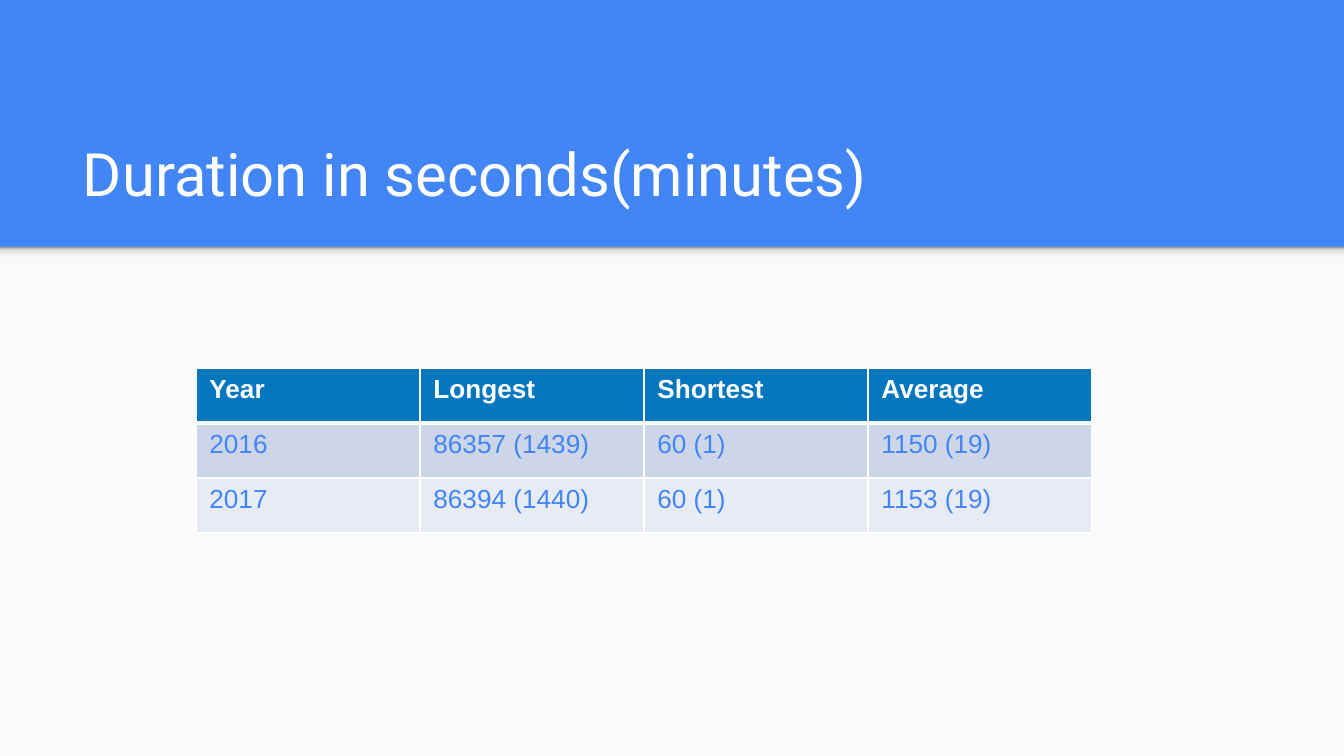
from dataclasses import dataclass

from lxml.etree import SubElement
from pptx import Presentation
from pptx.dml.color import RGBColor
from pptx.enum.shapes import MSO_SHAPE
from pptx.enum.text import MSO_ANCHOR
from pptx.oxml.ns import qn
from pptx.util import Emu, Pt

TITLE = "Duration in seconds(minutes)"
DURATIONS = [
    ("Year", "Longest", "Shortest", "Average"),
    ("2016", "86357 (1439)", "60 (1)", "1150 (19)"),
    ("2017", "86394 (1440)", "60 (1)", "1153 (19)"),
]


@dataclass(frozen=True)
class Theme:
    blue: str = "4285F4"
    page: str = "FAFAFA"
    white: str = "FFFFFF"
    header: str = "0277BD"
    bands: tuple = ("CCD6E8", "E7ECF4")
    shadow: tuple = ((0, "F9F9F9"), (36, "F9F9F9"), (80, "DEDEDE"), (100, "999999"))
    title_font: str = "Roboto"
    table_font: str = "Arial"
    title_size: int = 32
    table_size: int = 14
    rule: int = 1
    header_rule: int = 3


THEME = Theme()
WIDTH, HEIGHT = 1344, 756
BANNER_HEIGHT, SHADOW_HEIGHT = 247, 16
TITLE_BOX = (70, 109, 1208, 113)
TITLE_INSET = 13
TABLE_LEFT, TABLE_TOP = 196, 368
COLUMN_WIDTH, ROW_HEIGHT = 224, 55


def px(length):
    return Emu(round(length * 914400 / 134.4))


def color(code):
    return RGBColor.from_string(code)


def style_font(paragraph, name, size, code, bold=False):
    font = paragraph.font
    font.name, font.size, font.bold = name, Pt(size), bold
    font.color.rgb = color(code)


def add_strip(slide, top, height):
    strip = slide.shapes.add_shape(
        MSO_SHAPE.RECTANGLE, 0, px(top), px(WIDTH), px(height))
    strip.shadow.inherit = False
    strip.line.fill.background()
    return strip


def fill_gradient(shape, stops, angle):
    """Fill with (percent, colour) stops; the angle runs counter-clockwise."""
    shape.fill.gradient()
    shape.fill.gradient_angle = angle
    stop_list = next(shape.element.iter(qn("a:gsLst")))
    for old_stop in list(stop_list):
        stop_list.remove(old_stop)
    for percent, code in stops:
        stop = SubElement(stop_list, qn("a:gs"), pos=str(percent * 1000))
        SubElement(stop, qn("a:srgbClr"), val=code)


def set_borders(cell, code, **widths):
    """Draw the sides L, R, T and B, given in that order, in points."""
    properties = cell._tc.get_or_add_tcPr()
    for position, (side, width) in enumerate(widths.items()):
        line = SubElement(properties, qn(f"a:ln{side}"), w=str(Pt(width)))
        fill = SubElement(line, qn("a:solidFill"))
        SubElement(fill, qn("a:srgbClr"), val=code)
        properties.insert(position, line)


def add_title(slide):
    box = slide.shapes.add_textbox(*map(px, TITLE_BOX))
    frame = box.text_frame
    frame.word_wrap = True
    frame.vertical_anchor = MSO_ANCHOR.BOTTOM
    frame.margin_left = frame.margin_right = px(TITLE_INSET)
    frame.margin_top = frame.margin_bottom = px(TITLE_INSET)
    frame.text = TITLE
    style_font(frame.paragraphs[0], THEME.title_font, THEME.title_size, THEME.white)


def add_durations(slide):
    row_count, column_count = len(DURATIONS), len(DURATIONS[0])
    table = slide.shapes.add_table(
        row_count, column_count, px(TABLE_LEFT), px(TABLE_TOP),
        px(COLUMN_WIDTH * column_count), px(ROW_HEIGHT * row_count)).table
    for row, values in enumerate(DURATIONS):
        is_header = row == 0
        background = THEME.header if is_header else THEME.bands[(row - 1) % 2]
        ink = THEME.white if is_header else THEME.blue
        top = THEME.header_rule if row == 1 else THEME.rule
        bottom = THEME.header_rule if is_header else THEME.rule
        for column, value in enumerate(values):
            cell = table.cell(row, column)
            cell.text = value
            style_font(cell.text_frame.paragraphs[0], THEME.table_font,
                       THEME.table_size, ink, bold=is_header)
            cell.fill.solid()
            cell.fill.fore_color.rgb = color(background)
            set_borders(cell, THEME.white,
                        L=THEME.rule, R=THEME.rule, T=top, B=bottom)


def main():
    deck = Presentation()
    deck.slide_width, deck.slide_height = px(WIDTH), px(HEIGHT)
    slide = deck.slides.add_slide(deck.slide_layouts[6])
    slide.background.fill.solid()
    slide.background.fill.fore_color.rgb = color(THEME.blue)

    page = add_strip(slide, BANNER_HEIGHT, HEIGHT - BANNER_HEIGHT)
    page.fill.solid()
    page.fill.fore_color.rgb = color(THEME.page)
    banner_shadow = add_strip(slide, BANNER_HEIGHT, SHADOW_HEIGHT)
    fill_gradient(banner_shadow, THEME.shadow, angle=90)

    add_title(slide)
    add_durations(slide)
    deck.save("out.pptx")


if __name__ == "__main__":
    main()
